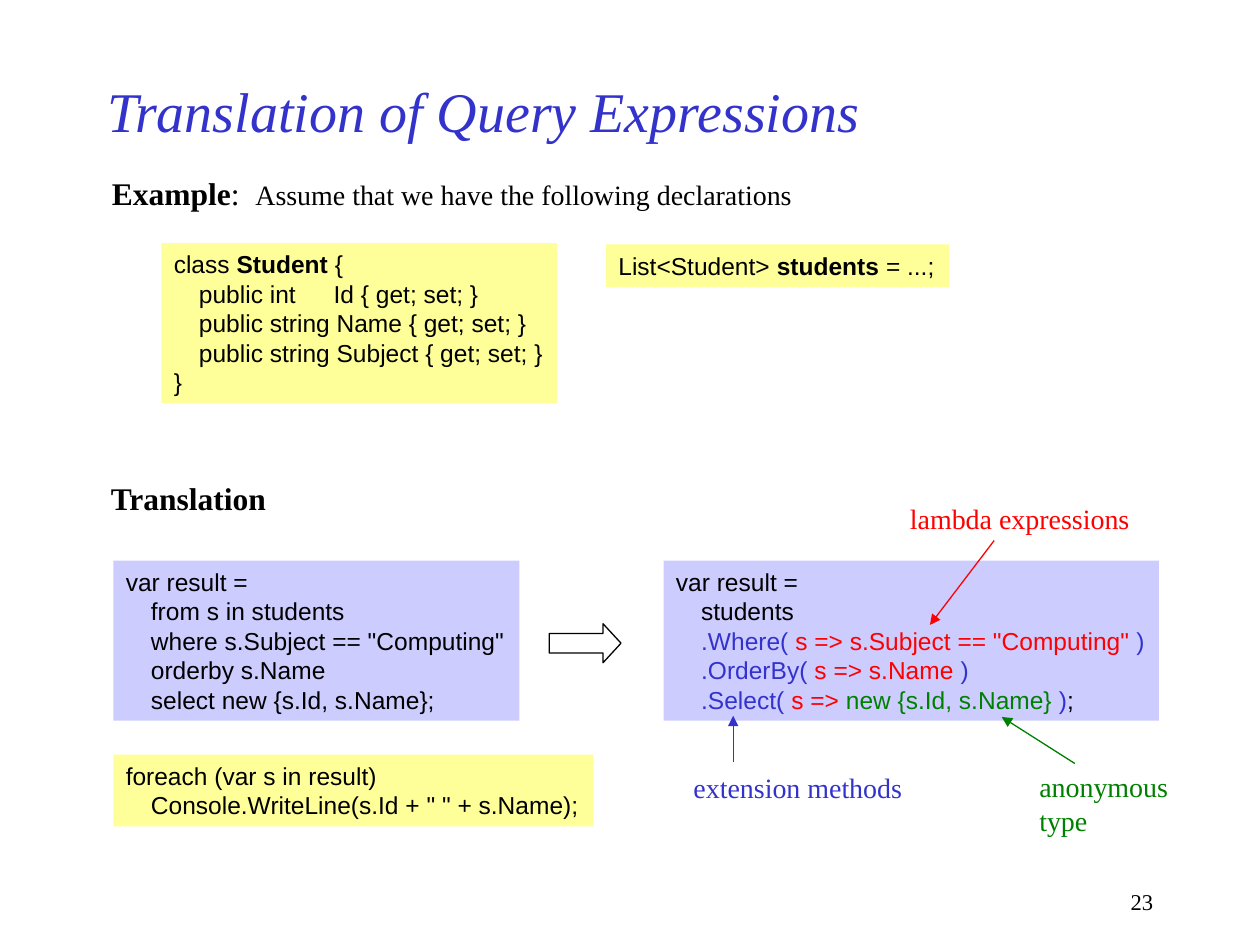
from lxml import etree
from pptx import Presentation
from pptx.dml.color import RGBColor
from pptx.enum import shapes, text
from pptx.oxml import ns
from pptx.util import Pt

SERIF, SANS = "Times New Roman", "Arial"
BLACK, BLUE, RED, GREEN = "000000", "3333CC", "FF0000", "008000"
YELLOW, LILAC = "FFFF99", "CCCCFF"
CLASS = [
    ["class ", ("Student", BLACK, True), " {"],
    ["\tpublic int \tId { get; set; }"],
    ["\tpublic string Name { get; set; }"],
    ["\tpublic string Subject { get; set; }"],
    ["}"],
]
LIST = [["List<Student> ", ("students", BLACK, True), " = ...;"]]
QUERY = [
    ["var result ="],
    ["\tfrom s in students"],
    ['\twhere s.Subject == "Computing"'],
    ["\torderby s.Name"],
    ["\tselect new {s.Id, s.Name};"],
]
CALLS = [
    ["var result ="],
    ["\tstudents"],
    ["\t", (".Where( ", BLUE), ('s => s.Subject == "Computing" ', RED), (")", BLUE)],
    ["\t", (".OrderBy( ", BLUE), ("s => s.Name ", RED), (")", BLUE)],
    ["\t", (".Select( ", BLUE), ("s => ", RED), ("new {s.Id, s.Name} ", GREEN),
     (")", BLUE), ";"],
]
LOOP = [["foreach (var s in result)"], ['\tConsole.WriteLine(s.Id + " " + s.Name);']]


def rgb(code):
    """Turn a hex string into a colour."""
    return RGBColor.from_string(code)


def add(node, tag, **attrs):
    """Append a drawing element to a node."""
    return etree.SubElement(node, ns.qn(tag), attrs)


def style(font, face, size, color, bold=False, italic=False):
    """Format a font."""
    font.name, font.size = face, Pt(size)
    font.bold, font.italic = bold, italic
    font.color.rgb = rgb(color)


def write(frame, lines, face=SERIF, size=16, color=BLACK, bold=False,
          italic=False, align="LEFT", anchor="TOP", tabs=()):
    """Fill a frame with lines, each a list of strings or (text, colour, bold, size)."""
    frame.vertical_anchor = text.MSO_ANCHOR[anchor]
    for i, line in enumerate(lines):
        para = frame.add_paragraph() if i else frame.paragraphs[0]
        para.alignment = text.PP_ALIGN[align]
        if tabs:
            stops = add(para._p.get_or_add_pPr(), "a:tabLst")
            for stop in tabs:
                add(stops, "a:tab", pos=str(Pt(stop)), algn="l")
        for part in line:
            base = (None, color, bold, size)
            part = (part,) if isinstance(part, str) else part
            words, hue, heavy, high = part + base[len(part):]
            run = para.add_run()
            run.text = words
            style(run.font, face, high, hue, heavy, italic)


def fit(frame):
    """Let a shape grow with its unwrapped text."""
    frame.word_wrap = False
    frame.auto_size = text.MSO_AUTO_SIZE.SHAPE_TO_FIT_TEXT


def title(slide, words):
    """Place and format the title."""
    box = slide.shapes.title
    box.left, box.top, box.width, box.height = Pt(54), Pt(36), Pt(540), Pt(54)
    box.text_frame.auto_size = text.MSO_AUTO_SIZE.NONE
    write(box.text_frame, [[words]], size=32, color=BLUE, italic=True, anchor="MIDDLE")


def label(slide, at, lines, **form):
    """Add a text box."""
    box = slide.shapes.add_textbox(*map(Pt, at))
    fit(box.text_frame)
    write(box.text_frame, lines, **form)


def code(slide, at, fill, lines, tabs=(14.4, 72)):
    """Add a filled panel of code."""
    box = slide.shapes.add_shape(shapes.MSO_SHAPE.RECTANGLE, *map(Pt, at))
    box.shadow.inherit = False
    box.fill.solid()
    box.fill.fore_color.rgb = rgb(fill)
    box.line.fill.background()
    fit(box.text_frame)
    write(box.text_frame, lines, face=SANS, size=14, tabs=tabs)


def block(slide, at):
    """Add an outlined block arrow."""
    arrow = slide.shapes.add_shape(shapes.MSO_SHAPE.RIGHT_ARROW, *map(Pt, at))
    arrow.shadow.inherit = False
    arrow.adjustments[1] = 0.46
    arrow.fill.background()
    arrow.line.color.rgb = rgb(BLACK)
    arrow.line.width = Pt(0.75)


def point(slide, ends, color):
    """Add a thin line with an arrowhead at its end."""
    line = slide.shapes.add_connector(shapes.MSO_CONNECTOR.STRAIGHT, *map(Pt, ends))
    line.line.color.rgb = rgb(color)
    line.line.width = Pt(0.75)
    add(line.line._get_or_add_ln(), "a:tailEnd", type="triangle")
    add(line._element.spPr, "a:effectLst")


def main():
    """Build the slide."""
    deck = Presentation()
    deck.slide_width, deck.slide_height = Pt(720), Pt(540)
    slide = deck.slides.add_slide(deck.slide_layouts[5])
    title(slide, "Translation of Query Expressions")

    label(slide, (56.9, 95.8, 404, 28.8),
          [[("Example", BLACK, True, 18), (":  ", BLACK, False, 18),
            "Assume that we have the following declarations"]])
    code(slide, (92.2, 139, 226, 91.4), YELLOW, CLASS, tabs=(14.4, 91.4))
    code(slide, (346.3, 139.7, 196, 24.5), YELLOW, LIST)

    label(slide, (56.2, 270, 106, 28.8), [["Translation"]], size=18, bold=True)
    code(slide, (64.8, 320.4, 232, 91.4), LILAC, QUERY)
    block(slide, (313.9, 356.4, 41, 22.3))
    code(slide, (379.2, 320.4, 283, 91.4), LILAC, CALLS)
    code(slide, (64.8, 431.3, 274.4, 41), YELLOW, LOOP)

    label(slide, (512.9, 283, 142, 26.6), [["lambda expressions"]], color=RED)
    label(slide, (389.2, 437, 137, 26.6), [["extension methods"]], color=BLUE)
    label(slide, (586.8, 436.3, 87.8, 46.1), [["anonymous"], ["type"]], color=GREEN)
    point(slide, (568.1, 308.9, 531.4, 357.1), RED)
    point(slide, (419, 435.6, 419, 409), BLUE)
    point(slide, (614.2, 436.3, 572.4, 409.7), GREEN)

    label(slide, (516.2, 504, 149.8, 23.8), [["23"]], size=12.9, align="RIGHT")
    deck.save("out.pptx")


if __name__ == "__main__":
    main()
